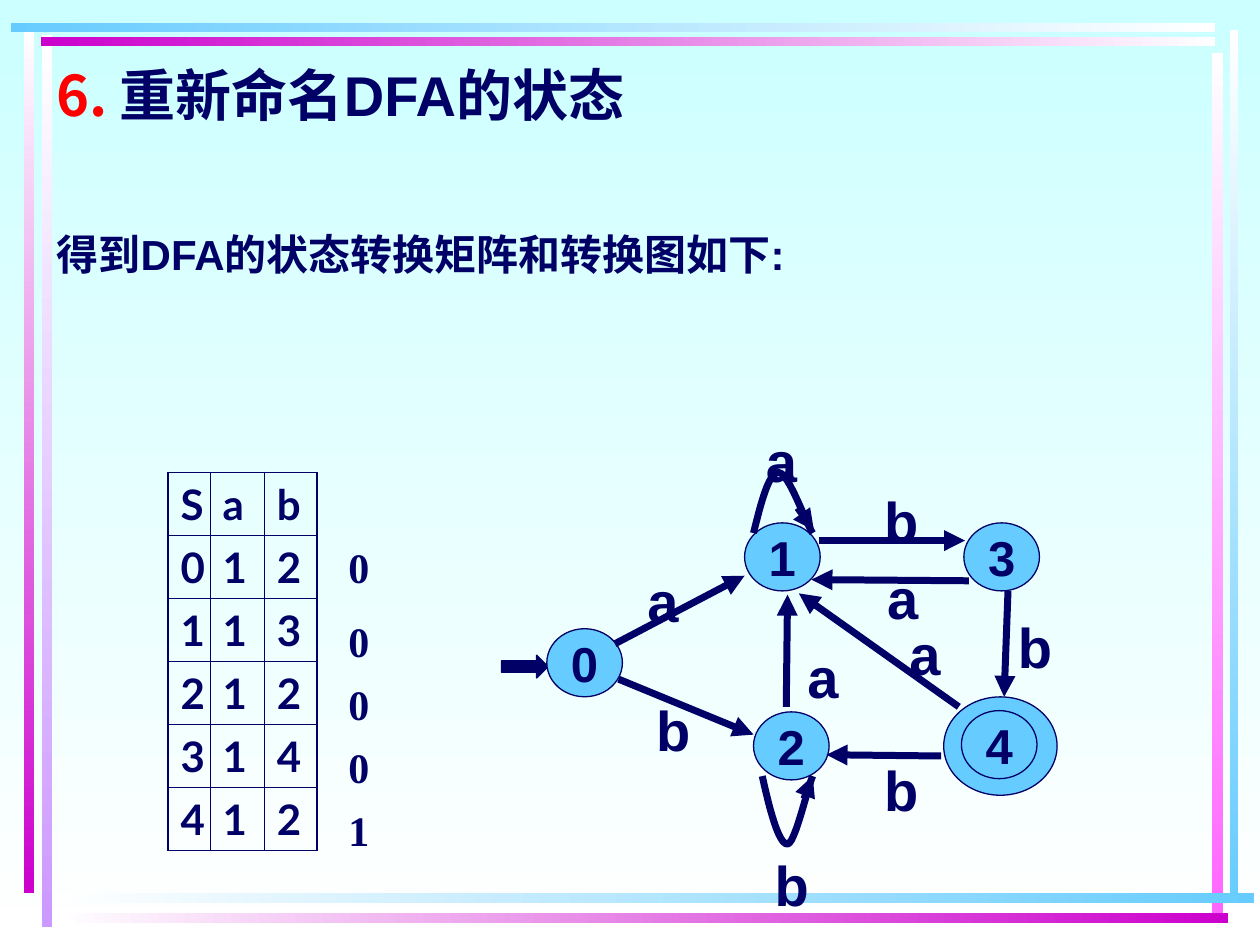
from pptx import Presentation
from pptx.dml.color import RGBColor
from pptx.enum.shapes import MSO_CONNECTOR, MSO_SHAPE
from pptx.enum.text import MSO_ANCHOR, MSO_AUTO_SIZE, PP_ALIGN
from pptx.oxml import parse_xml
from pptx.oxml.ns import nsdecls
from pptx.util import Pt

NAVY, SKY, WHITE, RED = "000066", "66CCFF", "FFFFFF", "FF0000"
PURPLE = "CC00CC"


def color(value):
    return RGBColor.from_string(value)


def element(tag, attrs="", inner=""):
    return parse_xml(f"<a:{tag} {nsdecls('a')} {attrs}>{inner}</a:{tag}>")


def solid(value):
    return f'<a:solidFill><a:srgbClr val="{value}"/></a:solidFill>'


def write(tf, text, size=24, font="Arial", align=PP_ALIGN.LEFT,
          anchor=MSO_ANCHOR.MIDDLE, wrap=True):
    tf.word_wrap = wrap
    tf.auto_size = MSO_AUTO_SIZE.NONE
    tf.vertical_anchor = anchor
    p = tf.paragraphs[0]
    p.alignment = align
    p.space_before = Pt(0)
    r = p.add_run()
    r.text = text
    r.font.size, r.font.name, r.font.bold = Pt(size), font, True
    r.font.color.rgb = color(NAVY)
    return p


def add_text(slide, box, text, **fmt):
    s = slide.shapes.add_textbox(*map(Pt, box))
    write(s.text_frame, text, **fmt)


def add_filled(slide, kind, box, fill):
    s = slide.shapes.add_shape(kind, *map(Pt, box))
    s.shadow.inherit = False
    s.fill.solid()
    s.fill.fore_color.rgb = color(fill)
    s.line.color.rgb = color(NAVY)
    s.line.width = Pt(0.75)
    return s


def set_gradient(fill, start, end, angle):
    fill.gradient()
    fill.gradient_angle = angle
    for stop, value, position in zip(fill.gradient_stops, (start, end), (0, 1)):
        stop.color.rgb = color(value)
        stop.position = position


def add_frame(slide):
    """Gradient bars along the four edges of the slide."""
    down, across = 270, 0
    bars = [
        ((23.8, 20.2, 5.8, 509.8), WHITE, "CC99FF", down),
        ((13.7, 18, 5.8, 492.5), WHITE, PURPLE, down),
        ((702.7, 17.3, 5, 499), WHITE, SKY, down),
        ((692.6, 30.2, 6.5, 491.8), WHITE, "FF66FF", down),
        ((32.4, 510.5, 684, 5.8), WHITE, SKY, across),
        ((32.8, 521.6, 668.9, 5.8), WHITE, PURPLE, across),
        ((23.4, 21.2, 671, 5), PURPLE, WHITE, across),
        ((6.1, 13.3, 688.3, 5), SKY, WHITE, across),
    ]
    for box, start, end, angle in bars:
        s = slide.shapes.add_shape(MSO_SHAPE.RECTANGLE, *map(Pt, box))
        s.shadow.inherit = False
        s.line.fill.background()
        set_gradient(s.fill, start, end, angle)


def fill_placeholder(s, box, text, bullet, indent, size):
    s.left, s.top, s.width, s.height = map(Pt, box)
    pPr = write(s.text_frame, text, size=size)._p.get_or_add_pPr()
    pPr.set("marL", str(Pt(indent)))
    pPr.set("indent", str(-Pt(indent)))
    pPr.extend(bullet)


def add_headings(slide, left, top, width):
    title, body = slide.placeholders
    number = [element("buClr", inner=f'<a:srgbClr val="{RED}"/>'),
              element("buAutoNum", 'type="arabicPeriod" startAt="6"')]
    fill_placeholder(title, (left, top, width, 48), "重新命名DFA的状态",
                     number, 36, 32)
    fill_placeholder(body, (left, top + 96, width, 38),
                     "得到DFA的状态转换矩阵和转换图如下:", [element("buNone")], 0, 24)


def set_borders(cell, row, col, last_row, last_col):
    outer = {"lnL": col == 0, "lnR": col == last_col,
             "lnT": row == 0, "lnB": row == last_row}
    tcPr = cell._tc.get_or_add_tcPr()
    for i, (side, is_outer) in enumerate(outer.items()):
        width = Pt(1.08 if is_outer else 0.45)
        tcPr.insert(i, element(side, f'w="{width}"', solid(NAVY)))


def add_matrix(slide, left, top):
    """Transition table, with the accepting flag of each state beside it."""
    rows = ["Sab", "012", "113", "212", "314", "412"]
    widths, row_height = (24, 31, 30), 36
    frame = slide.shapes.add_table(len(rows), len(widths), Pt(left), Pt(top),
                                   Pt(sum(widths)), Pt(row_height * len(rows)))
    table = frame.table
    table.first_row = table.horz_banding = False
    for column, width in zip(table.columns, widths):
        column.width = Pt(width)
    for i, row in enumerate(rows):
        for j, symbol in enumerate(row):
            cell = table.cell(i, j)
            cell.fill.background()
            cell.margin_top = cell.margin_bottom = Pt(3)
            cell.vertical_anchor = MSO_ANCHOR.MIDDLE
            write(cell.text_frame, symbol, font="Lato",
                  align=PP_ALIGN.JUSTIFY if i else PP_ALIGN.LEFT)
            set_borders(cell, i, j, len(rows) - 1, len(widths) - 1)

    flag_tops = (36, *range(78, 187, row_height))
    for flag, y in zip("00001", flag_tops):
        add_text(slide, (left + 96, top + y, 30, 36), flag,
                 font="Times New Roman", anchor=MSO_ANCHOR.TOP)


def add_arrow(slide, start, end):
    s = slide.shapes.add_connector(MSO_CONNECTOR.STRAIGHT,
                                   *map(Pt, (*start, *end)))
    s.line.color.rgb = color(NAVY)
    s.line.width = Pt(4)
    s.line._get_or_add_ln().append(element("tailEnd", 'type="triangle"'))
    s._element.spPr.append(element("effectLst"))


def bezier(points, steps=12):
    """Points along one cubic curve, without its start."""
    for i in range(1, steps + 1):
        t = i / steps
        weights = ((1 - t) ** 3, 3 * t * (1 - t) ** 2, 3 * t * t * (1 - t), t ** 3)
        yield tuple(sum(w * p[k] for w, p in zip(weights, points)) for k in (0, 1))


def add_loop(slide, points):
    """Open curve through two cubic pieces."""
    curve = [*bezier(points[:4]), *bezier(points[3:])]
    builder = slide.shapes.build_freeform(*map(Pt, points[0]))
    builder.add_line_segments([(Pt(x), Pt(y)) for x, y in curve], close=False)
    s = builder.convert_to_shape()
    s.shadow.inherit = False
    s.fill.background()
    s.line.color.rgb = color(NAVY)
    s.line.width = Pt(4)


def add_diagram(slide, left, top):
    def at(point):
        return left + point[0], top + point[1]

    states = {"0": (26.5, 119.3), "1": (139.5, 58.8), "2": (144.6, 166.8),
              "3": (264.8, 58.8), "4": (263.4, 166.1)}
    # symbol, label corner, arrow start, arrow end
    edges = [
        ("a", (76.9, 80.4), (65.4, 127.9), (139.5, 89)),
        ("b", (81.9, 153.8), (67.5, 148.1), (144.6, 179.8)),
        ("b", (212.2, 34.3), (182, 68.9), (265.5, 68.9)),
        ("a", (213.8, 78.2), (267.7, 91.9), (177.7, 91.2)),
        ("b", (212.2, 188.4), (251.8, 192), (186.3, 191.3)),
        ("b", (288.6, 106.3), (290, 97.7), (287.8, 158.2)),
        ("a", (226.6, 110.6), (261.9, 163.9), (170.5, 99.1)),
        ("a", (168.3, 123.6), (163.3, 163.9), (164, 99.8)),
        ("a", (144.6, 0), (169.8, 50.2), (179.1, 63.1)),
        ("b", (149.6, 242.4), (173.4, 216.5), (178.4, 203.5)),
    ]
    loops = [
        [(144.6, 64.6), (148.9, 47.3), (153.2, 30), (159, 30),
         (164.7, 30), (174.8, 59.5), (178.4, 64.6)],
        [(149.6, 203.5), (153.9, 223), (159, 242.4), (164, 242.4),
         (168.3, 242.4), (175.5, 210), (178.4, 203.5)],
    ]
    add_filled(slide, MSO_SHAPE.OVAL, (*at((253.3, 158.2)), 64.8, 56.2), SKY)
    add_filled(slide, MSO_SHAPE.RIGHT_ARROW, (*at((0.6, 134.4)), 26.6, 13), NAVY)
    for name, corner in states.items():
        s = add_filled(slide, MSO_SHAPE.OVAL, (*at(corner), 43.2, 38.9), SKY)
        write(s.text_frame, name, size=28, align=PP_ALIGN.CENTER, wrap=False)
    for points in loops:
        add_loop(slide, [at(point) for point in points])
    for symbol, corner, start, end in edges:
        add_arrow(slide, at(start), at(end))
        add_text(slide, (*at(corner), 28.8, 46), symbol, size=32,
                 align=PP_ALIGN.CENTER, anchor=MSO_ANCHOR.TOP)


def main():
    prs = Presentation()
    prs.slide_width, prs.slide_height = Pt(720), Pt(540)
    slide = prs.slides.add_slide(prs.slide_layouts[1])
    set_gradient(slide.background.fill, "CCFFFF", WHITE, 270)
    add_frame(slide)
    add_headings(slide, 25.2, 30, 680)
    add_matrix(slide, 96, 270)
    add_diagram(slide, 286, 240)
    prs.save("out.pptx")


if __name__ == "__main__":
    main()
